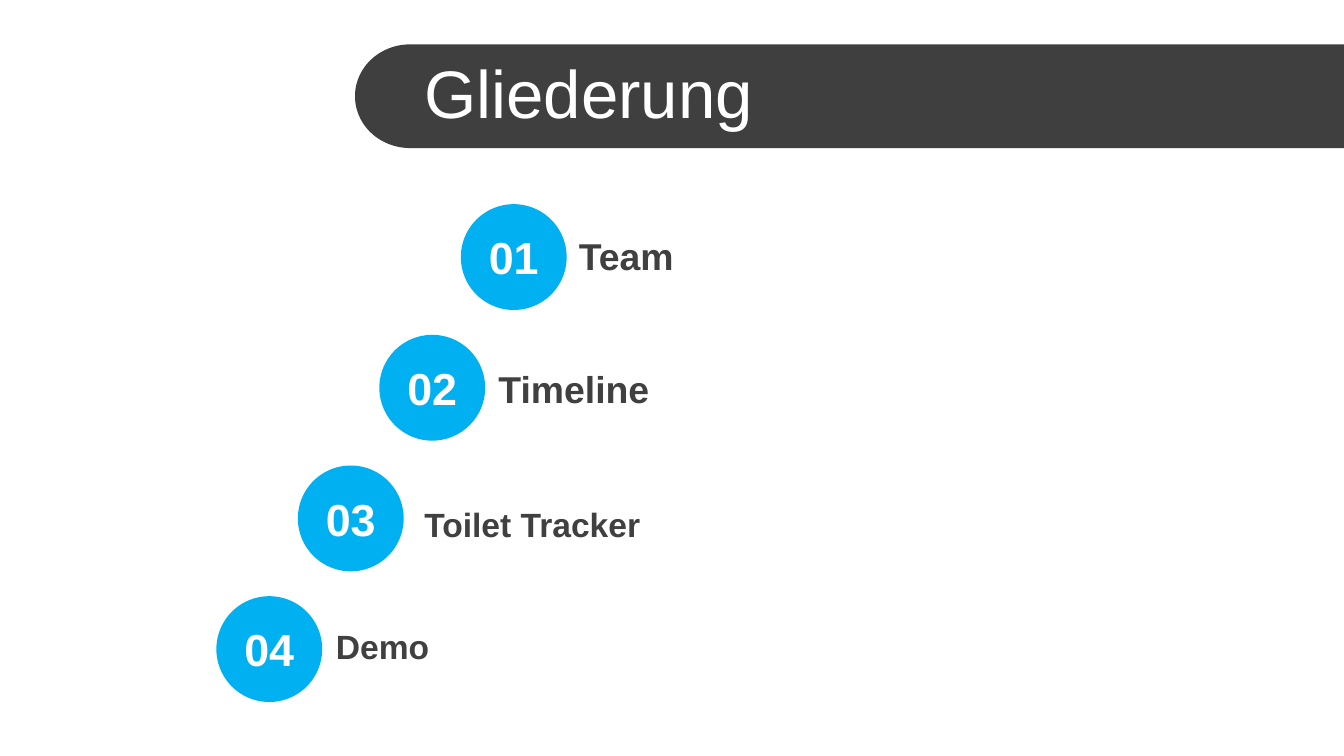
from math import cos, sin, pi
from pptx import Presentation, util as u
from pptx.dml.color import RGBColor
from pptx.enum import shapes, text

HUES = {"bar": "3F3F3F", "dot": "00B0F0", "label": "404040", "white": "FFFFFF"}
MID, TOP = text.MSO_ANCHOR.MIDDLE, text.MSO_ANCHOR.TOP

deck = Presentation()
deck.slide_width, deck.slide_height = u.Cm(25.4), u.Cm(14.29)
slide = deck.slides.add_slide(deck.slide_layouts[6])


def paint(shape, hue):
    shape.shadow.inherit = False
    shape.fill.solid()
    shape.fill.fore_color.rgb = RGBColor.from_string(HUES[hue])
    shape.line.fill.background()


def write(words, area, size, hue, bold=True, wrap=True, anchor=MID):
    box = slide.shapes.add_textbox(*(u.Cm(n) for n in area))
    frame = box.text_frame
    frame.word_wrap = wrap
    frame.vertical_anchor = anchor
    line = frame.paragraphs[0]
    line.text = words
    line.font.name = "Arial"
    line.font.size = u.Pt(size)
    line.font.bold = bold
    line.font.color.rgb = RGBColor.from_string(HUES[hue])
    return line


# Title bar: round left end, running off to the right edge
mid_x, mid_y, rad_x, rad_y = 7.75, 1.82, 1.04, 0.98
steps = 48
arc = [pi / 2 + pi * i / steps for i in range(steps + 1)]
curve = [(u.Cm(mid_x + rad_x * cos(a)), u.Cm(mid_y + rad_y * sin(a))) for a in arc]
edge = u.Cm(25.4)
pen = slide.shapes.build_freeform(edge, u.Cm(mid_y + rad_y))
pen.add_line_segments(curve + [(edge, u.Cm(mid_y - rad_y))], close=True)
paint(pen.convert_to_shape(), "bar")
write("Gliederung", (7.77, 0.94, 17.63, 1.6), 36, "white", bold=False)

# Numbered dots, stepping down to the left
for i in range(4):
    left, top = 8.71 - 1.54 * i, 3.86 + 2.47 * i
    dot = slide.shapes.add_shape(
        shapes.MSO_SHAPE.OVAL, u.Cm(left), u.Cm(top), u.Cm(2), u.Cm(2))
    paint(dot, "dot")
    line = write(f"{i + 1:02}", (left, top + 0.36, 2, 1.27), 24, "white")
    line.alignment = text.PP_ALIGN.CENTER

# Labels beside the dots
labels = [
    ("Team", (10.69, 4.27, 12.8, 1.12), 20, True, MID),
    ("Timeline", (9.17, 6.78, 12.8, 1.12), 20, True, MID),
    ("Toilet Tracker", (7.77, 9.4, 4.62, 1.02), 18, False, TOP),
    ("Demo", (6.1, 11.71, 2.29, 1.02), 18, False, TOP),
]
for words, area, size, wrap, anchor in labels:
    write(words, area, size, "label", wrap=wrap, anchor=anchor)

deck.save("out.pptx")
